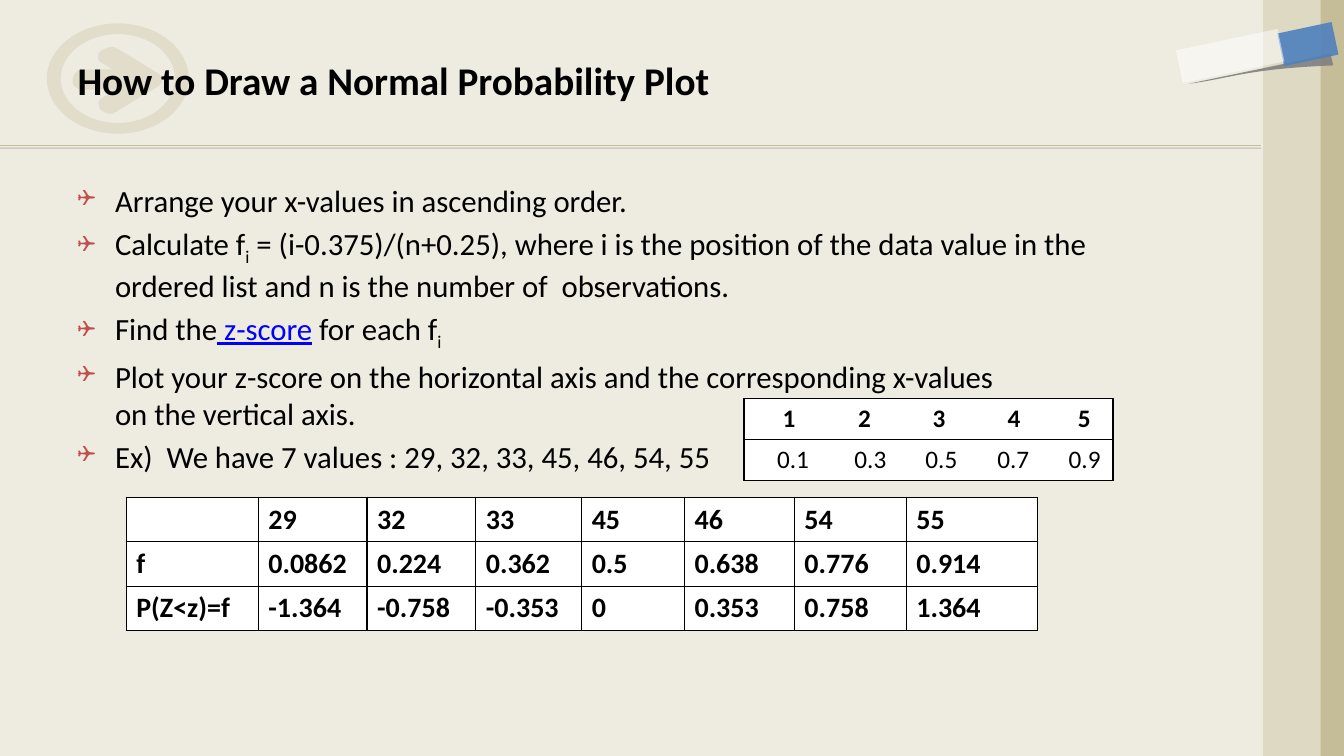
"""Build the slide on drawing a normal probability plot."""
from dataclasses import dataclass

from lxml import etree
from pptx import Presentation
from pptx import util as u
from pptx.dml.color import RGBColor
from pptx.enum import shapes, text
from pptx.oxml.ns import qn


@dataclass(frozen=True)
class Theme:
    font: str = "Calibri"
    bullet_font: str = "Wingdings"
    page: str = "EEECE1"
    tan: str = "C4BD97"
    sand: str = "DDD9C3"
    grey: str = "808080"
    blue: str = "4F81BD"
    white: str = "FFFFFF"
    ink: str = "000000"
    link: str = "0000FF"
    bullet: str = "C0504D"
    title_pt: float = 28
    body_pt: float = 22
    data_pt: float = 20
    small_pt: float = 18


@dataclass(frozen=True)
class Bar:
    left: float
    top: float
    width: float
    height: float
    color: str
    alpha: int = 100
    rotation: float = 0


@dataclass(frozen=True)
class Contour:
    start: tuple
    segments: tuple


@dataclass(frozen=True)
class Grid:
    left: float
    top: float
    cols: tuple
    row_height: float
    rows: tuple
    size: float
    bold: tuple
    tabs: tuple


@dataclass(frozen=True)
class Piece:
    text: str
    color: str = Theme.ink
    underline: bool = False
    sub: bool = False


T = Theme()
TITLE = "How to Draw a Normal Probability Plot"
BARS = (
    Bar(31.88, 0, 1.99, 19.05, T.tan),
    Bar(31.83, 0, 1.45, 19.05, T.sand),
)
TAPE = (
    Bar(32.54, 0.41, 0.84, 1.4, T.blue, 90, 78),
    Bar(30.58, 0.1, 0.84, 2.62, T.white, 50, 78),
)
SUB_I = Piece("i", sub=True)
BULLETS = (
    (Piece("Arrange your x-values in ascending order."),),
    (Piece("Calculate f"), SUB_I,
     Piece(" = (i-0.375)/(n+0.25), where i is the position of the data value in the\n"
           "ordered list and n is the number of  observations.")),
    (Piece("Find the"), Piece(" z-score", T.link, True), Piece(" for each f"), SUB_I),
    (Piece("Plot your z-score on the horizontal axis and the corresponding x-values\n"
           "on the vertical axis."),),
    (Piece("Ex)  We have 7 values : 29, 32, 33, 45, 46, 54, 55"),),
)
SCORES = Grid(
    3.18, 12.53, (3.33, 2.74, 2.74, 2.67, 2.59, 2.77, 2.82, 3.3), 1.12,
    (("", "29", "32", "33", "45", "46", "54", "55"),
     ("f", "0.0862", "0.224", "0.362", "0.5", "0.638", "0.776", "0.914"),
     ("P(Z<z)=f", "-1.364", "-0.758", "-0.353", "0", "0.353", "0.758", "1.364")),
    T.data_pt, (True, True, True), ((), (), ()))
RANKS = Grid(
    18.75, 10.05, (9.3,), 1.03,
    (("\t1\t2\t3\t4\t5",), ("\t0.1\t0.3\t0.5\t0.7\t0.9",)),
    T.small_pt, (True, False),
    ((0.88, 2.78, 4.66, 6.55, 8.32), (0.98, 2.93, 4.72, 6.53, 8.33)))
ARROW = Contour((3.99, 1.85), (
    ((3.78, 1.73), (3.12, 1.3), (2.87, 1.19)),
    ((2.72, 1.17), (2.69, 1.22), (2.57, 1.27)),
    ((2.46, 1.32), (2.44, 1.45), (2.51, 1.55)),
    ((2.84, 1.75),), ((2.06, 1.75),),
    ((1.88, 1.8), (1.83, 1.93), (1.83, 2.01)),
    ((1.8, 2.11), (1.88, 2.24), (2.06, 2.26)),
    ((2.9, 2.26),), ((2.51, 2.51),),
    ((2.46, 2.59), (2.49, 2.72), (2.54, 2.77)),
    ((2.59, 2.82), (2.69, 2.87), (2.84, 2.87)),
    ((3.43, 2.51), (4.01, 2.16), (4.01, 2.16)),
    ((4.09, 2.08), (4.09, 2.06), (4.09, 2.01)),
    ((4.09, 1.96), (4.06, 1.91), (3.99, 1.85)),
))
TAPE_SHADOW = Contour((33.53, 1.35), (
    ((33.6, 1.65),),
    ((31.45, 1.73), (30.99, 1.98), (29.97, 2.11)),
    ((31.17, 1.85), (32.33, 1.63), (33.53, 1.35)),
))


def add(parent, tag: str, **attrs):
    return etree.SubElement(parent, qn(tag), attrs)


def ellipse(cx: float, cy: float, rx: float, ry: float) -> Contour:
    k = 0.55
    unit = (
        ((k, -1), (1, -k), (1, 0)), ((1, k), (k, 1), (0, 1)),
        ((-k, 1), (-1, k), (-1, 0)), ((-1, -k), (-k, -1), (0, -1)),
    )
    return Contour((cx, cy - ry), tuple(
        tuple((cx + rx * x, cy + ry * y) for x, y in seg) for seg in unit))


def paint(sp, color: str, alpha: int) -> None:
    sp.shadow.inherit = False
    sp.line.fill.background()
    sp.fill.solid()
    sp.fill.fore_color.rgb = RGBColor.from_string(color)
    if alpha < 100:
        clr = next(sp._element.spPr.iter(qn("a:srgbClr")))
        add(clr, "a:alpha", val=str(alpha * 1000))


def draw_bar(s, bar: Bar) -> None:
    box = map(u.Cm, (bar.left, bar.top, bar.width, bar.height))
    sp = s.shapes.add_shape(shapes.MSO_SHAPE.RECTANGLE, *box)
    sp.rotation = bar.rotation
    paint(sp, bar.color, bar.alpha)


def draw_outline(s, contours: tuple, color: str, alpha: int) -> None:
    unit = 1000
    first = contours[0].start
    fb = s.shapes.build_freeform(first[0] * unit, first[1] * unit, scale=u.Cm(1) / unit)
    for i, c in enumerate(contours):
        if i:
            fb.move_to(c.start[0] * unit, c.start[1] * unit)
        fb.add_line_segments([(x * unit, y * unit) for seg in c.segments for x, y in seg], close=True)
    sp = fb.convert_to_shape()
    lines = iter(list(sp._element.iter(qn("a:lnTo"))))
    for seg in (seg for c in contours for seg in c.segments):
        parts = [next(lines) for _ in seg]
        if len(parts) == 3:
            bend = etree.Element(qn("a:cubicBezTo"))
            parts[0].addprevious(bend)
            for part in parts:
                bend.append(part[0])
                part.getparent().remove(part)
    paint(sp, color, alpha)


def draw_rule(s) -> None:
    ln = s.shapes.add_connector(shapes.MSO_CONNECTOR.STRAIGHT, 0, u.Cm(3.66), u.Cm(31.78), u.Cm(3.66))
    ln.line.color.rgb = RGBColor.from_string(T.tan)
    ln.line.width = u.Pt(0.75)
    effects = add(ln._element.spPr, "a:effectLst")
    shadow = add(effects, "a:outerShdw", dist="25400", dir="5400000", rotWithShape="0")
    add(add(shadow, "a:srgbClr", val=T.ink), "a:alpha", val="22000")


def write(p, value: str, *, size: float, color: str = T.ink, bold: bool = False,
          underline: bool = False, sub: bool = False) -> None:
    for i, line in enumerate(value.split("\n")):
        if i:
            p.add_line_break()
        r = p.add_run()
        r.text = line
        r.font.name, r.font.size, r.font.bold = T.font, u.Pt(size), bold
        r.font.underline = underline
        r.font.color.rgb = RGBColor.from_string(color)
        if sub:
            r.font._element.set("baseline", "-25000")


def draw_bullets(s) -> None:
    tf = s.shapes.add_textbox(*map(u.Cm, (1.7, 4.45, 30.05, 12.57))).text_frame
    tf.word_wrap = True
    for i, pieces in enumerate(BULLETS):
        p = tf.add_paragraph() if i else tf.paragraphs[0]
        p.space_before = u.Pt(4.4 if i else 0)
        pPr = p._p.get_or_add_pPr()
        pPr.set("marL", str(u.Cm(0.95)))
        pPr.set("indent", str(-u.Cm(0.95)))
        add(add(pPr, "a:buClr"), "a:srgbClr", val=T.bullet)
        add(pPr, "a:buSzPct", val="75000")
        add(pPr, "a:buFont", typeface=T.bullet_font)
        add(pPr, "a:buChar", char="❑")
        for x in pieces:
            write(p, x.text, size=T.body_pt, color=x.color, underline=x.underline, sub=x.sub)


def draw_title(s) -> None:
    sp = s.shapes.title
    sp.left, sp.top, sp.width, sp.height = map(u.Cm, (1.7, 0.43, 30.48, 3.18))
    sp.text_frame.vertical_anchor = text.MSO_ANCHOR.MIDDLE
    p = sp.text_frame.paragraphs[0]
    p.alignment = text.PP_ALIGN.LEFT
    write(p, TITLE, size=T.title_pt, bold=True)
    s.shapes._spTree.append(sp._element)


def draw_grid(s, g: Grid) -> None:
    box = map(u.Cm, (g.left, g.top, sum(g.cols), g.row_height * len(g.rows)))
    tbl = s.shapes.add_table(len(g.rows), len(g.cols), *box).table
    for col, width in zip(tbl.columns, g.cols):
        col.width = u.Cm(width)
    for row, values, bold, tabs in zip(tbl.rows, g.rows, g.bold, g.tabs):
        row.height = u.Cm(g.row_height)
        for cell, value in zip(row.cells, values):
            tcPr = cell._tc.get_or_add_tcPr()
            for side in ("a:lnL", "a:lnR", "a:lnT", "a:lnB"):
                add(add(add(tcPr, side, w="12700"), "a:solidFill"), "a:srgbClr", val=T.ink)
            cell.fill.solid()
            cell.fill.fore_color.rgb = RGBColor.from_string(T.white)
            p = cell.text_frame.paragraphs[0]
            if tabs:
                stops = add(p._p.get_or_add_pPr(), "a:tabLst")
                for pos in tabs:
                    add(stops, "a:tab", pos=str(u.Cm(pos)), algn="ctr")
            if value:
                write(p, value, size=g.size, bold=bold)


def main() -> None:
    prs = Presentation()
    prs.slide_width, prs.slide_height = u.Cm(33.87), u.Cm(19.05)
    s = prs.slides.add_slide(prs.slide_layouts.get_by_name("Title Only"))
    s.background.fill.solid()
    s.background.fill.fore_color.rgb = RGBColor.from_string(T.page)
    draw_rule(s)
    draw_outline(s, (ARROW,), T.tan, 30)
    ring = (ellipse(2.97, 1.98, 1.79, 1.39), ellipse(2.97, 1.98, 1.44, 1.12))
    draw_outline(s, ring, T.tan, 30)
    for bar in BARS:
        draw_bar(s, bar)
    draw_outline(s, (TAPE_SHADOW,), T.grey, 90)
    for bar in TAPE:
        draw_bar(s, bar)
    draw_bullets(s)
    draw_title(s)
    for grid in (SCORES, RANKS):
        draw_grid(s, grid)
    prs.save("out.pptx")


if __name__ == "__main__":
    main()
